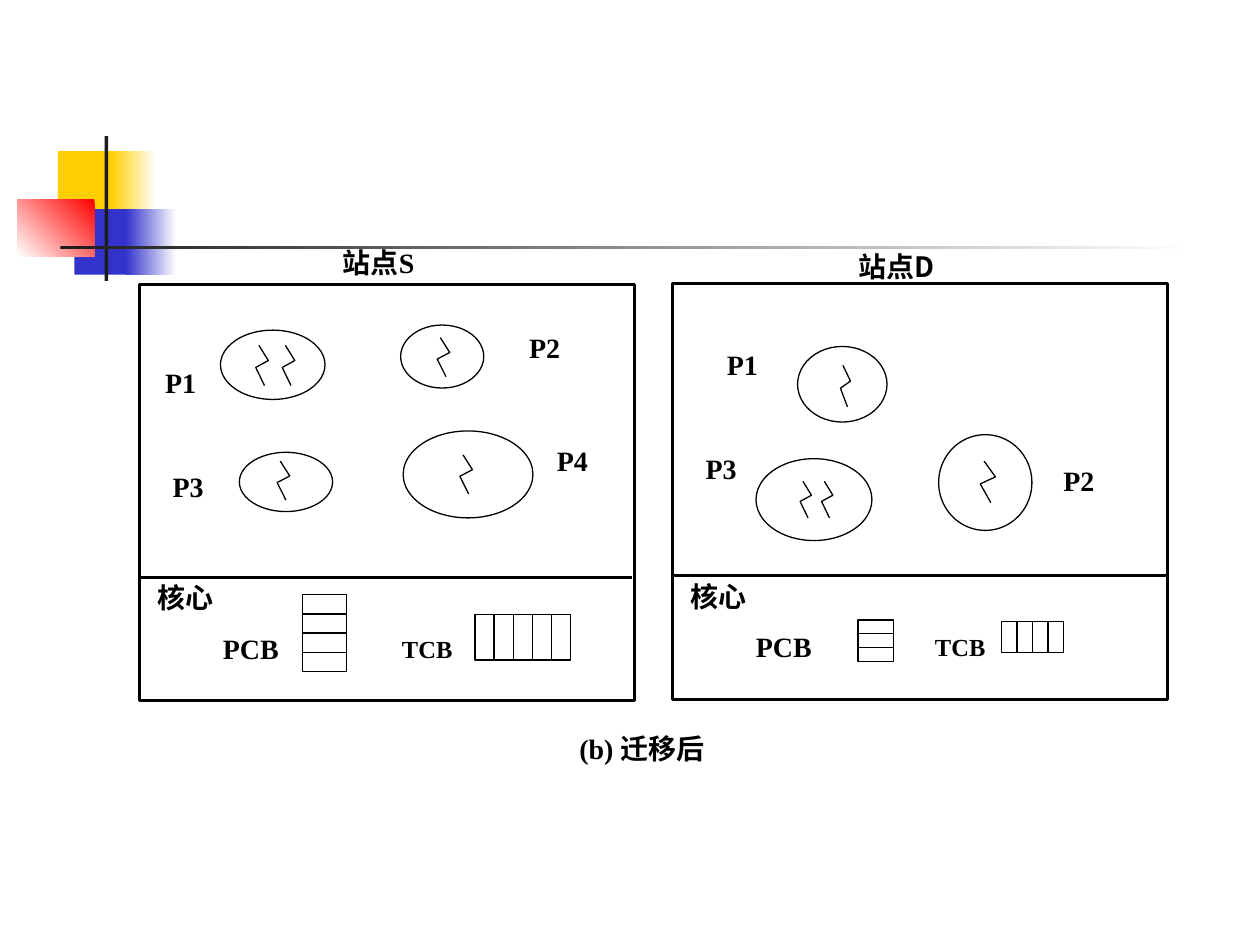
import pptx
import pptx.dml.color
import pptx.enum.shapes
import pptx.enum.text
import pptx.oxml
import pptx.oxml.ns
import pptx.util

SHAPE = pptx.enum.shapes.MSO_SHAPE
ALIGN = pptx.enum.text.PP_ALIGN
LATIN, CJK = "Times New Roman", "Noto Sans CJK SC"
INK, WHITE = "000000", "FFFFFF"
THIN, THICK = 0.75, 1.75
ZIGZAG = [(0.25, 0), (1, 0.38), (0, 0.55), (0.7, 1)]


def color(hex_code):
    return pptx.dml.color.RGBColor.from_string(hex_code)


class Diagram:
    """Draws on one slide; lengths are cells of a grid of 100 columns by 75 rows."""

    def __init__(self, deck):
        self.slide = deck.slides.add_slide(deck.slide_layouts[6])
        self.shapes = self.slide.shapes
        self.cell = deck.slide_width / 100

    def grid(self, *lengths):
        return [round(length * self.cell) for length in lengths]

    def outline(self, shape, width=THIN):
        shape.shadow.inherit = False
        shape.fill.background()
        shape.line.color.rgb = color(INK)
        shape.line.width = pptx.util.Pt(width)

    def block(self, box, start, end=None, angle=0):
        """Borderless rectangle, solid or fading from start to end."""
        shape = self.shapes.add_shape(SHAPE.RECTANGLE, *self.grid(*box))
        shape.shadow.inherit = False
        shape.line.fill.background()
        if end is None:
            shape.fill.solid()
            shape.fill.fore_color.rgb = color(start)
            return
        shape.fill.gradient()
        shape.fill.gradient_angle = angle
        for stop, shade in zip(shape.fill.gradient_stops, (start, end)):
            stop.color.rgb = color(shade)

    def outlined(self, kind, box, width=THIN):
        self.outline(self.shapes.add_shape(kind, *self.grid(*box)), width)

    def line(self, x1, y1, x2, y2, width=THIN):
        connector = self.shapes.add_connector(
            pptx.enum.shapes.MSO_CONNECTOR.STRAIGHT, *self.grid(x1, y1, x2, y2))
        connector.line.color.rgb = color(INK)
        connector.line.width = pptx.util.Pt(width)
        properties = connector._element.spPr
        properties.append(properties.makeelement(pptx.oxml.ns.qn("a:effectLst"), {}))

    def thread(self, left, top, width, height):
        corners = [self.grid(left + x * width, top + y * height) for x, y in ZIGZAG]
        builder = self.shapes.build_freeform(*corners[0])
        builder.add_line_segments(corners[1:], close=False)
        self.outline(builder.convert_to_shape())

    def text(self, box, wording, size=16, font=LATIN, align=ALIGN.LEFT, inset=(0.2, 0.1)):
        frame = self.shapes.add_textbox(*self.grid(*box)).text_frame
        frame.word_wrap = True
        frame.margin_left = frame.margin_right = self.grid(inset[0])[0]
        frame.margin_top = frame.margin_bottom = self.grid(inset[1])[0]
        paragraph = frame.paragraphs[0]
        paragraph.text = wording
        paragraph.alignment = align
        paragraph.font.size = pptx.util.Pt(size)
        paragraph.font.bold = True
        paragraph.font.color.rgb = color(INK)
        paragraph.font.name = font
        latin = paragraph._p.find(".//" + pptx.oxml.ns.qn("a:latin"))
        latin.addnext(latin.makeelement(pptx.oxml.ns.qn("a:ea"), {"typeface": CJK}))

    def heading(self, box, wording, font=LATIN):
        self.text(box, wording, font=font, align=ALIGN.CENTER, inset=(1, 0.5))

    def control_blocks(self, box, count, stacked):
        """Rectangle cut into equal cells, stacked or side by side."""
        left, top, width, height = box
        self.outlined(SHAPE.RECTANGLE, box)
        for index in range(1, count):
            if stacked:
                y = top + height * index / count
                self.line(left, y, left + width, y)
            else:
                x = left + width * index / count
                self.line(x, top, x, top + height)

    def process(self, name, label_at, oval, threads):
        self.outlined(SHAPE.OVAL, oval)
        self.text((*label_at, 5, 2.8), name)
        for thread in threads:
            self.thread(*thread)

    def site(self, left, top, pcb, pcb_count, tcb, tcb_count):
        """Frame of one site, with the kernel and its tables below the divider."""
        self.outlined(SHAPE.RECTANGLE, (left, top, 39.3, 33), THICK)
        self.line(left, top + 23.2, left + 39.1, top + 23.2, THICK)
        self.heading((left - 0.3, top + 23, 7.9, 4.5), "核心", CJK)
        self.text((left + 6.4, top + 27.4, 5.6, 3.1), "PCB")
        self.text((left + 20.6, top + 27.6, 4.9, 3.1), "TCB", size=14)
        self.control_blocks(pcb, pcb_count, stacked=True)
        self.control_blocks(tcb, tcb_count, stacked=False)


def main():
    deck = pptx.Presentation()
    deck.slide_width, deck.slide_height = pptx.util.Inches(10), pptx.util.Inches(7.5)
    diagram = Diagram(deck)

    for ornament in [
        ((4.6, 12, 4.8, 5.2), "FFCF01"),
        ((8.8, 12, 3.6, 5.2), "FFCF01", WHITE),
        ((5.9, 16.6, 4.6, 5.2), "3333CC"),
        ((10, 16.6, 4, 5.2), "3333CC", WHITE),
        ((1.4, 15.8, 6.1, 4.6), "FF0000", WHITE, 225),
        ((8.3, 10.8, 0.3, 11.5), "1C1C1C"),
        ((4.8, 19.5, 90, 0.3), "1C1C1C", WHITE),
    ]:
        diagram.block(*ornament)

    diagram.site(11.1, 22.6, (24, 47.2, 3.5, 6.1), 4, (37.7, 48.8, 7.6, 3.6), 5)
    diagram.site(53.4, 22.5, (68.1, 49.2, 2.8, 3.3), 3, (79.5, 49.3, 4.9, 2.5), 4)

    for process in [
        ("P1", (12.9, 28.9), (17.5, 26.2, 8.3, 5.5),
         [(20.3, 27.4, 1, 3.2), (22.4, 27.4, 1, 3.2)]),
        ("P2", (41.8, 26.1), (31.8, 25.8, 6.6, 5), [(34.7, 26.8, 1, 3.1)]),
        ("P3", (13.5, 37.2), (19, 35.9, 7.4, 4.7), [(22, 36.6, 1, 3.1)]),
        ("P4", (44, 35.1), (32, 34.2, 10.3, 6.9), [(36.5, 36.1, 1, 3.1)]),
        ("P1", (57.5, 27.5), (63.3, 27.5, 7.1, 6), [(66.7, 29, 0.8, 3.3)]),
        ("P2", (84.2, 36.7), (74.5, 34.5, 7.4, 7.6), [(77.8, 36.6, 1.2, 3.3)]),
        ("P3", (55.8, 35.7), (60, 36.4, 9.2, 6.5),
         [(63.5, 38.2, 0.9, 2.9), (65.2, 38.2, 0.9, 2.9)]),
    ]:
        diagram.process(*process)

    diagram.heading((25.4, 19, 9.3, 3.3), "站点S")
    diagram.heading((66.5, 19.3, 9.3, 3.3), "站点D", CJK)
    diagram.heading((43.3, 57.6, 15.3, 3), "(b) 迁移后")
    deck.save("out.pptx")


if __name__ == "__main__":
    main()
